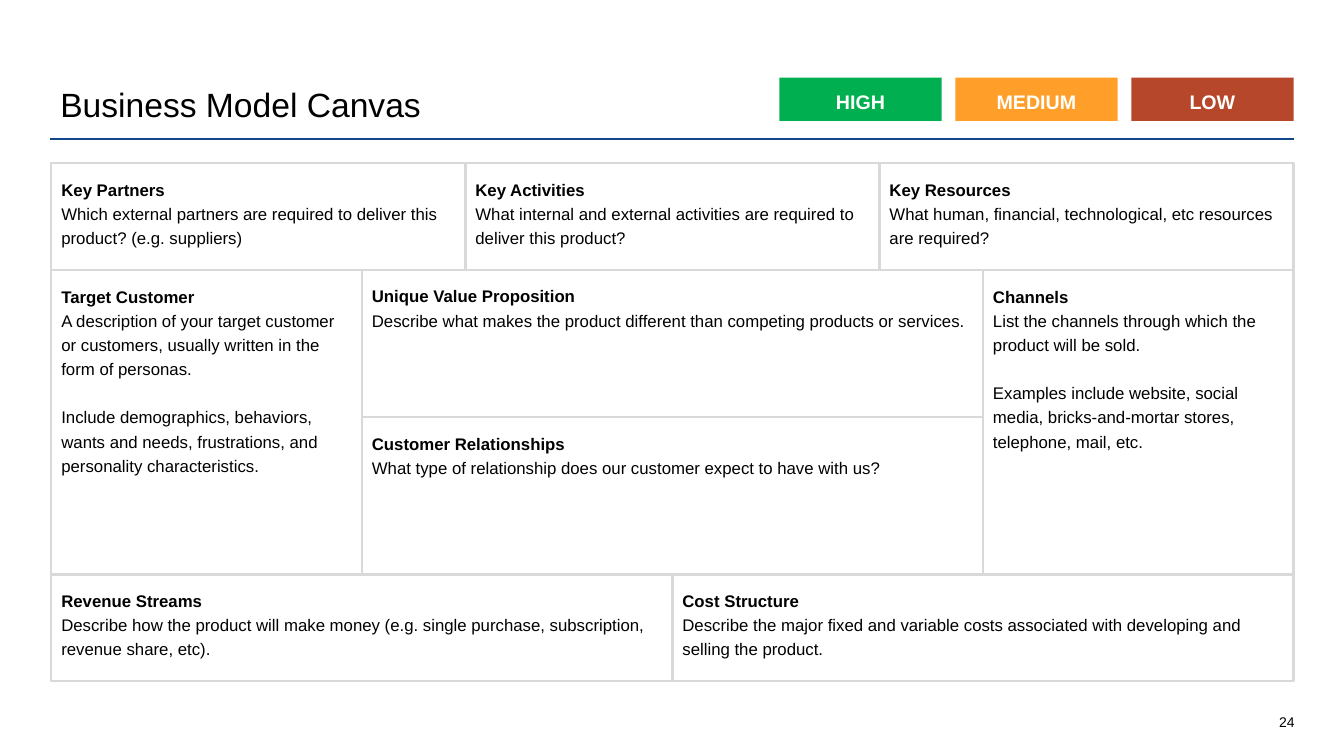
from lxml import etree
from pptx import Presentation
from pptx.dml.color import RGBColor
from pptx.enum.shapes import MSO_CONNECTOR, MSO_SHAPE
from pptx.enum.text import MSO_ANCHOR, PP_ALIGN
from pptx.oxml.ns import qn
from pptx.util import Inches, Pt

# Content
TITLE = "Business Model Canvas"
PAGE_NUMBER = "24"
RATINGS = [("HIGH", "green"), ("MEDIUM", "orange"), ("LOW", "red")]

# Rows of columns: (share of the width, stacked boxes); box: (height, heading, paragraphs)
CANVAS = [
    [
        (1 / 3, [(1.06, "Key Partners", [
            "Which external partners are required to deliver this product? (e.g. suppliers)"])]),
        (1 / 3, [(1.06, "Key Activities", [
            "What internal and external activities are required to deliver this product?"])]),
        (1 / 3, [(1.06, "Key Resources", [
            "What human, financial, technological, etc resources are required?"])]),
    ],
    [
        (1 / 4, [(3.02, "Target Customer", [
            "A description of your target customer or customers, usually written in the form of personas.",
            "Include demographics, behaviors, wants and needs, frustrations, and personality characteristics."])]),
        (1 / 2, [
            (1.46, "Unique Value Proposition", [
                "Describe what makes the product different than competing products or services."]),
            (1.56, "Customer Relationships", [
                "What type of relationship does our customer expect to have with us?"]),
        ]),
        (1 / 4, [(3.02, "Channels", [
            "List the channels through which the product will be sold.",
            "Examples include website, social media, bricks-and-mortar stores, telephone, mail, etc."])]),
    ],
    [
        (1 / 2, [(1.06, "Revenue Streams", [
            "Describe how the product will make money (e.g. single purchase, subscription, revenue share, etc)."])]),
        (1 / 2, [(1.06, "Cost Structure", [
            "Describe the major fixed and variable costs associated with developing and selling the product."])]),
    ],
]

COLORS = {"text": "000000", "white": "FFFFFF", "border": "D9D9D9", "rule": "14478A",
          "green": "00B050", "orange": "FF9F29", "red": "B7472A"}
FONT = "Arial"
CANVAS_LEFT, CANVAS_TOP, CANVAS_WIDTH = 0.51, 1.62, 12.32
RATING_LEFT, RATING_STEP = 7.73, 1.745
BLANK_LINE = Pt(17.3)


def color(name):
    return RGBColor.from_string(COLORS[name])


def set_frame(frame, anchor, side, vertical):
    frame.word_wrap = True
    frame.vertical_anchor = anchor
    frame.margin_left = frame.margin_right = Inches(side)
    frame.margin_top = frame.margin_bottom = Inches(vertical)


def write(paragraph, text, size, name="text", bold=False, align=PP_ALIGN.LEFT, spacing=1.2):
    paragraph.text = text
    paragraph.alignment = align
    paragraph.line_spacing = spacing
    font = paragraph.font
    font.name, font.size, font.bold = FONT, Pt(size), bold
    font.color.rgb = color(name)


def add_text(slide, box, text, size, side, vertical, **style):
    frame = slide.shapes.add_textbox(*map(Inches, box)).text_frame
    set_frame(frame, MSO_ANCHOR.BOTTOM, side, vertical)
    write(frame.paragraphs[0], text, size, **style)


def add_box(slide, box, fill, anchor, border=None):
    shape = slide.shapes.add_shape(MSO_SHAPE.RECTANGLE, *map(Inches, box))
    shape.shadow.inherit = False
    shape.fill.solid()
    shape.fill.fore_color.rgb = color(fill)
    if border:
        shape.line.color.rgb = color(border)
        shape.line.width = Pt(1.5)
    else:
        shape.line.fill.background()
    set_frame(shape.text_frame, anchor, 0.1, 0.12)
    return shape.text_frame


def add_canvas_box(slide, box, heading, paragraphs):
    frame = add_box(slide, box, "white", MSO_ANCHOR.TOP, border="border")
    write(frame.paragraphs[0], heading, 12, bold=True)
    for index, text in enumerate(paragraphs):
        paragraph = frame.add_paragraph()
        if index:
            paragraph.space_before = BLANK_LINE
        write(paragraph, text, 12)


def main():
    deck = Presentation()
    deck.slide_width, deck.slide_height = Inches(13.33), Inches(7.5)
    slide = deck.slides.add_slide(deck.slide_layouts[6])

    # Title, rule and page number
    rule = slide.shapes.add_connector(
        MSO_CONNECTOR.STRAIGHT, *map(Inches, (0.5, 1.38, 12.83, 1.38)))
    rule.line.color.rgb = color("rule")
    rule.line.width = Pt(1.5)
    etree.SubElement(rule._element.spPr, qn("a:effectLst"))
    add_text(slide, (0.5, 0.4, 12.33, 0.89), TITLE, 24, 0.1, 0.05, spacing=0.9)
    add_text(slide, (12.2, 6.92, 0.64, 0.33), PAGE_NUMBER, 10, 0, 0,
             align=PP_ALIGN.RIGHT, spacing=1.0)

    # Canvas
    row_top = CANVAS_TOP
    for row in CANVAS:
        left = CANVAS_LEFT
        for share, boxes in row:
            width, top = share * CANVAS_WIDTH, row_top
            for height, heading, paragraphs in boxes:
                add_canvas_box(slide, (left, top, width, height), heading, paragraphs)
                top += height
            left += width
        row_top = top

    # Rating labels
    for index, (rating, fill) in enumerate(RATINGS):
        left = RATING_LEFT + index * RATING_STEP
        frame = add_box(slide, (left, 0.77, 1.61, 0.43), fill, MSO_ANCHOR.MIDDLE)
        write(frame.paragraphs[0], rating, 14, "white", bold=True, align=PP_ALIGN.CENTER)

    deck.save("out.pptx")


if __name__ == "__main__":
    main()
